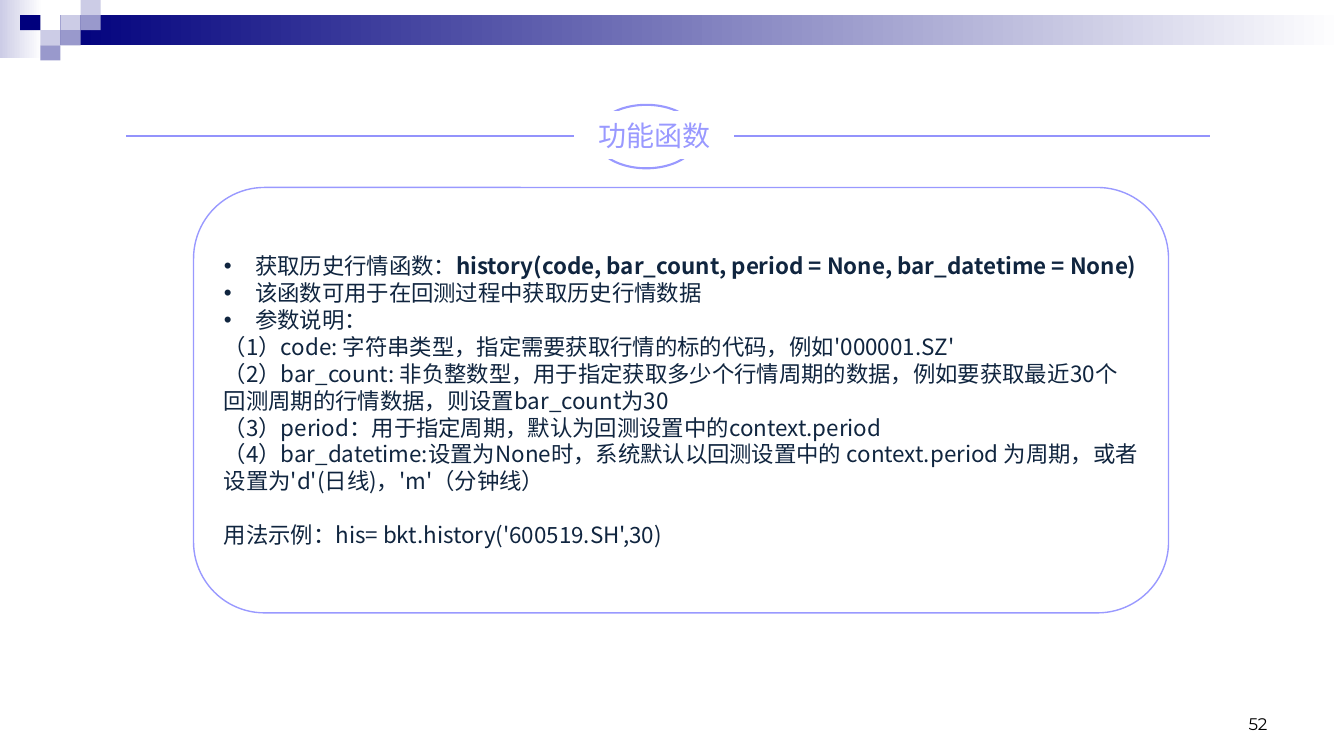
from lxml.etree import SubElement
from pptx import Presentation
from pptx.dml.color import RGBColor
from pptx.enum.shapes import MSO_CONNECTOR, MSO_SHAPE
from pptx.enum.text import MSO_ANCHOR, MSO_AUTO_SIZE, PP_ALIGN
from pptx.oxml.ns import qn
from pptx.util import Inches, Pt

NAVY = RGBColor(0x00, 0x00, 0x7D)
SLATE = RGBColor(0x99, 0x99, 0xCC)
PALE = RGBColor(0xCC, 0xCC, 0xE6)
LILAC = RGBColor(0x99, 0x99, 0xFF)
RULE = RGBColor(0x93, 0x93, 0xFC)
INK = RGBColor(0x10, 0x25, 0x3F)
WHITE = RGBColor(0xFF, 0xFF, 0xFF)
BLACK = RGBColor(0x00, 0x00, 0x00)
CJK = "Noto Sans CJK SC"
COL, ROW = 0.2, 0.15  # cell of the corner mosaic

prs = Presentation()
prs.slide_width, prs.slide_height = Inches(13.33), Inches(7.5)
slide = prs.slides.add_slide(prs.slide_layouts[1])
shapes = slide.shapes


def add_panel(kind, left, top, width, height, fill=None, line=None, weight=1):
    panel = shapes.add_shape(kind, Inches(left), Inches(top), Inches(width), Inches(height))
    panel.shadow.inherit = False
    if fill is None:
        panel.fill.background()
    elif isinstance(fill, RGBColor):
        panel.fill.solid()
        panel.fill.fore_color.rgb = fill
    else:
        panel.fill.gradient()
        panel.fill.gradient_angle = 0
        for stop, color, position in zip(panel.fill.gradient_stops, fill, (0, 1)):
            stop.color.rgb, stop.position = color, position
    if line is None:
        panel.line.fill.background()
    else:
        panel.line.color.rgb, panel.line.width = line, Pt(weight)
    return panel


def set_font(paragraph, face, size, color):
    font = paragraph.font
    font.name, font.size, font.bold = face, Pt(size), False
    font.color.rgb = color
    SubElement(font._rPr, qn("a:ea"), typeface=face)


# Header band and corner mosaic
add_panel(MSO_SHAPE.RECTANGLE, 0, 0, 0.42, 0.58, (PALE, WHITE))
add_panel(MSO_SHAPE.RECTANGLE, 3 * COL, ROW, 13.33 - 3 * COL, 2 * ROW, (NAVY, WHITE))
mosaic = [(3, 1, PALE), (4, 0, PALE), (4, 1, SLATE), (2, 2, PALE),
          (1, 1, NAVY), (3, 2, SLATE), (2, 3, SLATE)]
for col, row, color in mosaic:
    add_panel(MSO_SHAPE.RECTANGLE, col * COL, row * ROW, COL, ROW, color)

# Heading: rule, ring, title on top
rule = shapes.add_connector(MSO_CONNECTOR.STRAIGHT, Inches(1.25), Inches(1.35), Inches(12), Inches(1.35))
rule.line.color.rgb, rule.line.width = RULE, Pt(1.5)
SubElement(rule._element.spPr, qn("a:effectLst"))
add_panel(MSO_SHAPE.OVAL, 5.9, 1.04, 1.02, 0.63, WHITE, LILAC, 1.5)

title = shapes.title
title.left, title.top, title.width, title.height = map(Inches, (5.71, 1.12, 1.56, 0.44))
title.fill.solid()
title.fill.fore_color.rgb = WHITE
title.line.color.rgb, title.line.width = WHITE, Pt(2)
title.text_frame.text = "功能函数"
title.text_frame.word_wrap = False
title.text_frame.auto_size = MSO_AUTO_SIZE.NONE
title.text_frame.vertical_anchor = MSO_ANCHOR.MIDDLE
set_font(title.text_frame.paragraphs[0], CJK, 20, LILAC)
shapes._spTree.append(title._element)

# Function description in its rounded frame
add_panel(MSO_SHAPE.ROUNDED_RECTANGLE, 1.92, 1.86, 9.67, 4.22, line=LILAC)
description = slide.placeholders[1]
description.left, description.top, description.width, description.height = map(
    Inches, (2.12, 1.86, 9.27, 4.22))
shapes._spTree.append(description._element)
frame = description.text_frame
frame.auto_size = MSO_AUTO_SIZE.NONE
frame.vertical_anchor = MSO_ANCHOR.MIDDLE

# (bulleted, points before, plain text, bold text)
entries = [
    (True, 0, "获取历史行情函数：", "history(code, bar_count, period = None, bar_datetime = None)"),
    (True, 0, "该函数可用于在回测过程中获取历史行情数据", ""),
    (True, 0, "参数说明：", ""),
    (False, 0, "（1）code: 字符串类型，指定需要获取行情的标的代码，例如'000001.SZ'", ""),
    (False, 0, "（2）bar_count: 非负整数型，用于指定获取多少个行情周期的数据，"
               "例如要获取最近30个回测周期的行情数据，则设置bar_count为30", ""),
    (False, 0, "（3）period：用于指定周期，默认为回测设置中的context.period", ""),
    (False, 0, "（4）bar_datetime:设置为None时，系统默认以回测设置中的 context.period 为周期，"
               "或者设置为'd'(日线)，'m'（分钟线）", ""),
    (False, 19, "用法示例：his= bkt.history('600519.SH',30)", ""),
]
for index, (bulleted, before, plain, bold) in enumerate(entries):
    entry = frame.add_paragraph() if index else frame.paragraphs[0]
    entry.add_run().text = plain
    if bold:
        signature = entry.add_run()
        signature.text, signature.font.bold = bold, True
    entry.space_before = Pt(before)
    indent = Inches(0.31) if bulleted else 0
    properties = entry._p.get_or_add_pPr()
    properties.set("marL", str(indent))
    properties.set("indent", str(-indent))
    if bulleted:
        SubElement(properties, qn("a:buFont"), typeface="Arial")
        SubElement(properties, qn("a:buChar"), char="•")
    else:
        SubElement(properties, qn("a:buNone"))
    set_font(entry, CJK, 16, INK)

# Page number
page = shapes.add_textbox(Inches(9.56), Inches(6.83), Inches(3.11), Inches(0.5)).text_frame
page.word_wrap = True
page.vertical_anchor = MSO_ANCHOR.BOTTOM
page.text = "52"
page.paragraphs[0].alignment = PP_ALIGN.RIGHT
set_font(page.paragraphs[0], "Montserrat", 12, BLACK)

prs.save("out.pptx")
